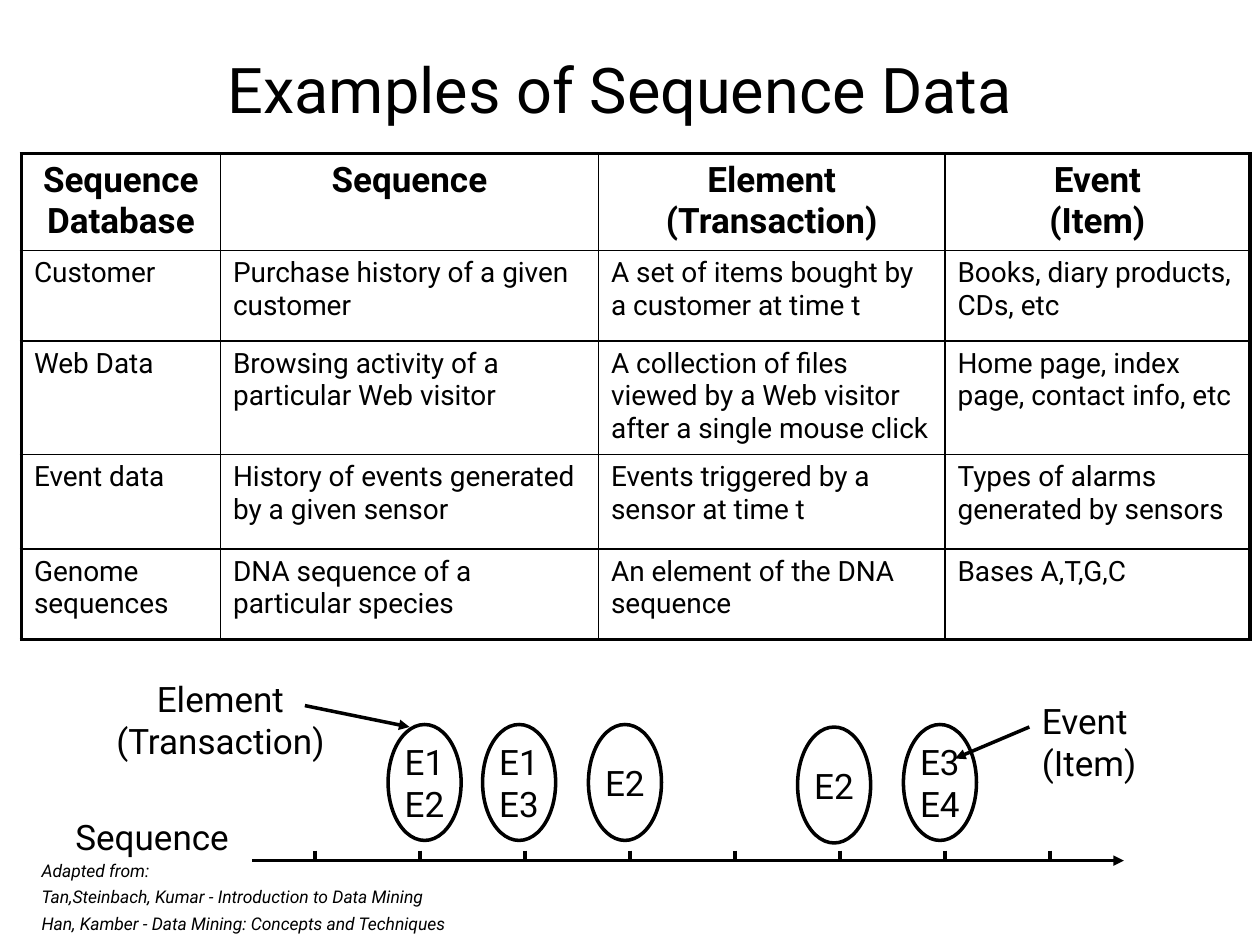
from dataclasses import dataclass

from lxml.etree import SubElement
from pptx import Presentation
from pptx.dml.color import RGBColor
from pptx.enum.shapes import MSO_CONNECTOR, MSO_SHAPE
from pptx.enum.text import MSO_ANCHOR, MSO_AUTO_SIZE, PP_ALIGN
from pptx.oxml.ns import qn
from pptx.util import Inches, Pt


@dataclass(frozen=True)
class Theme:
    ink: RGBColor = RGBColor(0, 0, 0)
    paper: RGBColor = RGBColor(255, 255, 255)
    font: str = "Roboto"
    title: int = 36
    label: int = 20
    body: int = 16
    credit: int = 10
    credit_line: int = 15
    stroke: float = 2
    inner_border: float = 1
    outer_border: float = 2.25


class SlideBuilder:
    def __init__(self, page, theme):
        self.page = page
        self.theme = theme
        page.background.fill.solid()
        page.background.fill.fore_color.rgb = theme.paper

    def fill_text(self, frame, lines, size, align=PP_ALIGN.LEFT, spacing=None, **font):
        style = {"name": self.theme.font, "size": Pt(size), **font}
        for index, line in enumerate(lines):
            para = frame.add_paragraph() if index else frame.paragraphs[0]
            para.text = line
            para.alignment = align
            para.line_spacing = spacing
            for span in para.runs:
                for name, value in style.items():
                    setattr(span.font, name, value)
                span.font.color.rgb = self.theme.ink

    def title(self, text, *place):
        box = self.page.shapes.title
        for name, value in zip(("left", "top", "width", "height"), place):
            setattr(box, name, Inches(value))
        box.text_frame.vertical_anchor = MSO_ANCHOR.MIDDLE
        self.fill_text(box.text_frame, [text], self.theme.title, PP_ALIGN.CENTER)

    def label(self, text, *place, align=PP_ALIGN.LEFT):
        box = self.page.shapes.add_textbox(*map(Inches, place))
        box.text_frame.word_wrap = True
        box.text_frame.auto_size = MSO_AUTO_SIZE.SHAPE_TO_FIT_TEXT
        self.fill_text(box.text_frame, [text], self.theme.label, align)

    def credit(self, lines, *place):
        frame = self.page.shapes.add_textbox(*map(Inches, place)).text_frame
        settings = {"word_wrap": True, "vertical_anchor": MSO_ANCHOR.BOTTOM,
                    "margin_left": 0, "margin_top": 0,
                    "margin_right": 0, "margin_bottom": 0}
        for name, value in settings.items():
            setattr(frame, name, value)
        self.fill_text(frame, lines, self.theme.credit,
                       spacing=Pt(self.theme.credit_line), italic=True)

    def oval(self, text, *place):
        shape = self.page.shapes.add_shape(MSO_SHAPE.OVAL, *map(Inches, place))
        shape.shadow.inherit = False
        shape.fill.background()
        shape.line.color.rgb = self.theme.ink
        shape.line.width = Pt(self.theme.stroke)
        shape.text_frame.word_wrap = False
        shape.text_frame.vertical_anchor = MSO_ANCHOR.MIDDLE
        self.fill_text(shape.text_frame, [text], self.theme.label, PP_ALIGN.CENTER)

    def line(self, *ends, arrow=False):
        connector = self.page.shapes.add_connector(
            MSO_CONNECTOR.STRAIGHT, *map(Inches, ends))
        connector.line.color.rgb = self.theme.ink
        connector.line.width = Pt(self.theme.stroke)
        properties = connector._element.spPr
        if arrow:
            SubElement(properties.find(qn("a:ln")), qn("a:tailEnd"), type="triangle")
        SubElement(properties, qn("a:effectLst"))

    def border(self, cell, outer_sides):
        properties = cell._tc.get_or_add_tcPr()
        for index, side in enumerate("LRTB"):
            width = self.theme.outer_border if side in outer_sides else self.theme.inner_border
            edge = SubElement(properties, qn(f"a:ln{side}"), w=str(Pt(width)))
            fill = SubElement(edge, qn("a:solidFill"))
            SubElement(fill, qn("a:srgbClr"), val=str(self.theme.ink))
            properties.remove(edge)
            properties.insert(index, edge)

    def table(self, rows, widths, heights, left, top):
        table = self.page.shapes.add_table(
            len(rows), len(widths), *map(Inches, (left, top, sum(widths), sum(heights)))).table
        table.first_row = table.horz_banding = False
        for column, width in zip(table.columns, widths):
            column.width = Inches(width)
        for r, (row, height) in enumerate(zip(rows, heights)):
            table.rows[r].height = Inches(height)
            for c, text in enumerate(row):
                cell = table.cell(r, c)
                cell.fill.background()
                outer = {"L": c == 0, "R": c == len(widths) - 1,
                         "T": r == 0, "B": r == len(rows) - 1}
                self.border(cell, [side for side, is_outer in outer.items() if is_outer])
                header = r == 0
                self.fill_text(cell.text_frame, [text],
                               self.theme.label if header else self.theme.body,
                               PP_ALIGN.CENTER if header else PP_ALIGN.LEFT, bold=header)


ROWS = [
    ("Sequence Database", "Sequence", "Element (Transaction)", "Event\n(Item)"),
    ("Customer", "Purchase history of a given customer",
     "A set of items bought by a customer at time t", "Books, diary products, CDs, etc"),
    ("Web Data", "Browsing activity of a particular Web visitor",
     "A collection of files viewed by a Web visitor after a single mouse click",
     "Home page, index page, contact info, etc"),
    ("Event data", "History of events generated by a given sensor",
     "Events triggered by a sensor at time t", "Types of alarms generated by sensors"),
    ("Genome sequences", "DNA sequence of a particular species",
     "An element of the DNA sequence", "Bases A,T,G,C"),
]
CREDITS = [
    "Adapted from:",
    "Tan,Steinbach, Kumar - Introduction to Data Mining",
    "Han, Kamber - Data Mining: Concepts and Techniques",
]
ELEMENTS = [
    ("E1\nE2", 3.08, 5.75),
    ("E1\nE3", 3.83, 5.75),
    ("E2", 4.67, 5.75),
    ("E3\nE4", 7.17, 5.75),
    ("E2", 6.33, 5.77),
]
AXIS_Y = 6.83
TICK_COUNT = 8
TICK_GAP = 5 / 6


def main():
    deck = Presentation()
    deck.slide_width, deck.slide_height = Inches(10), Inches(7.5)
    builder = SlideBuilder(deck.slides.add_slide(deck.slide_layouts[5]), Theme())
    builder.credit(CREDITS, 0.33, 6.79, 9.15, 0.62)
    builder.title("Examples of Sequence Data", 0.21, 0.21, 9.42, 0.98)
    builder.table(ROWS, (1.58, 3, 2.75, 2.42), (0.72, 0.72, 0.75, 0.75, 0.72), 0.17, 1.22)

    builder.line(2, AXIS_Y, 8.92, AXIS_Y, arrow=True)
    builder.label("Sequence", 0.5, 6.42, 1.67, 0.43)
    for index in range(TICK_COUNT):
        x = 2.5 + index * TICK_GAP
        builder.line(x, 6.75, x, AXIS_Y)
    for text, left, top in ELEMENTS:
        builder.oval(text, left, top, 0.58, 0.92)

    builder.line(2.42, 5.6, 3.25, 5.77, arrow=True)
    builder.label("Element (Transaction)", 0.75, 5.33, 2, 0.77, align=PP_ALIGN.CENTER)
    builder.line(8.17, 5.77, 7.58, 6.02, arrow=True)
    builder.label("Event\n(Item)", 8.17, 5.5, 1.08, 0.77)
    deck.save("out.pptx")


if __name__ == "__main__":
    main()
